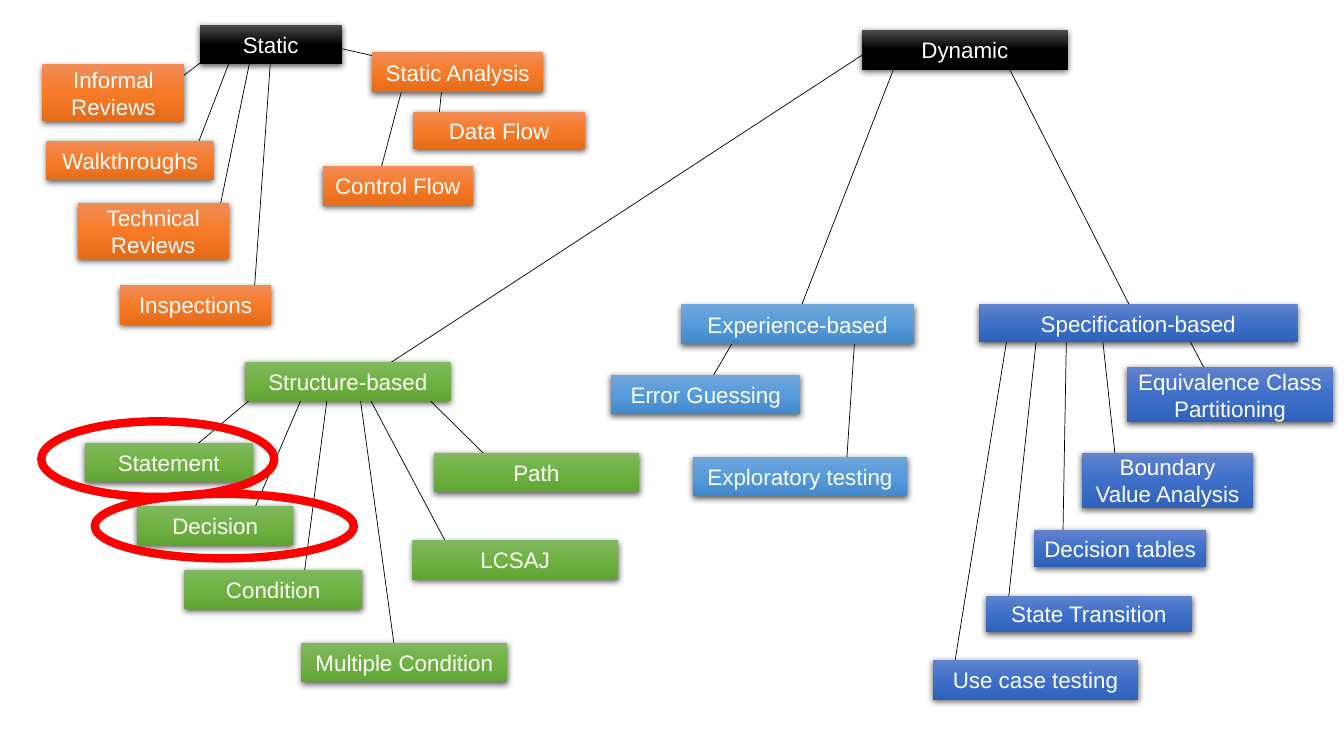
from copy import deepcopy

from lxml import etree
from pptx import Presentation
from pptx.dml.color import RGBColor
from pptx.enum import shapes, text
from pptx.oxml import ns
from pptx.util import Inches, Pt

BLACK = RGBColor(0x00, 0x00, 0x00)
WHITE = RGBColor(0xFF, 0xFF, 0xFF)
RED = RGBColor(0xFF, 0x00, 0x00)
# Top, middle and bottom colour of each gradient
ROOT = (RGBColor(0x4B, 0x4B, 0x4B), BLACK, BLACK)
ORANGE = (RGBColor(0xF1, 0x8C, 0x57), RGBColor(0xF6, 0x7B, 0x28), RGBColor(0xE5, 0x6C, 0x19))
GREEN = (RGBColor(0x81, 0xB8, 0x61), RGBColor(0x6F, 0xB2, 0x42), RGBColor(0x62, 0xA3, 0x36))
SKY = (RGBColor(0x71, 0xA6, 0xDB), RGBColor(0x55, 0x9B, 0xDB), RGBColor(0x44, 0x8A, 0xCA))
BLUE = (RGBColor(0x61, 0x83, 0xCB), RGBColor(0x3E, 0x70, 0xCA), RGBColor(0x30, 0x62, 0xBB))

presentation = Presentation()
presentation.slide_width = Inches(13.33)
presentation.slide_height = Inches(7.5)
slide = presentation.slides.add_slide(presentation.slide_layouts[6])


def paint_gradient(shape, colors):
    """Fill from top to bottom with three evenly spaced colours."""
    shape.fill.gradient()
    shape.fill.gradient_angle = 270
    stop_list = shape.element.spPr.find(".//" + ns.qn("a:gsLst"))
    stop_list.insert(1, deepcopy(stop_list[0]))
    for stop, position, color in zip(shape.fill.gradient_stops, (0, 0.5, 1), colors):
        stop.position = position
        stop.color.rgb = color


def add_soft_shadow(shape):
    """Cast a blurred black shadow straight down."""
    shape.shadow.inherit = False
    effects = shape.element.spPr.find(ns.qn("a:effectLst"))
    shadow = etree.SubElement(effects, ns.qn("a:outerShdw"), blurRad=str(Pt(4.5)),
                              dist=str(Pt(1.5)), dir="5400000", algn="ctr", rotWithShape="0")
    color = etree.SubElement(shadow, ns.qn("a:srgbClr"), val=str(BLACK))
    etree.SubElement(color, ns.qn("a:alpha"), val="63000")


# Branch lines, from parent to child
branches = [
    # Experience-based
    (7.3, 3.34, 6.88, 4.06), (8.49, 3.17, 8.39, 4.69),
    # Specification-based
    (10.01, 3.22, 9.47, 6.57), (10.3, 3.17, 9.98, 6.15), (10.58, 3.17, 10.54, 5.45),
    (10.93, 3.31, 11.08, 4.7), (11.7, 3.19, 12.11, 3.97),
    # Dynamic
    (8.73, 0.43, 3.81, 3.64), (8.9, 0.59, 7.84, 3.31), (9.99, 0.64, 11.29, 3.2),
    # Structure-based
    (2.63, 3.84, 1.81, 4.53), (3.04, 3.84, 2.48, 5.15), (3.26, 3.84, 3.02, 5.67),
    (3.56, 3.86, 3.93, 6.55), (3.59, 3.81, 4.46, 5.45), (4.03, 3.74, 4.99, 4.69),
    # Static and Static Analysis
    (3.2, 0.44, 4.3, 0.69), (4.39, 0.8, 4.34, 1.29), (4.01, 0.8, 3.75, 1.78),
    (2.23, 0.44, 1.57, 0.94), (2.3, 0.55, 1.9, 1.59), (2.49, 0.55, 2.17, 2.11),
    (2.68, 0.64, 2.52, 2.92),
]
for ends in branches:
    branch = slide.shapes.add_connector(shapes.MSO_CONNECTOR.STRAIGHT, *map(Inches, ends))
    branch.line.color.rgb = BLACK
    branch.line.width = Pt(0.5)
    etree.SubElement(branch.element.spPr, ns.qn("a:effectLst"))

# Technique boxes: left, top, width, height, paragraphs
boxes = [
    (ORANGE, [
        (0.42, 0.64, 1.41, 0.56, ["Informal", "Reviews"]),
        (0.46, 1.4, 1.66, 0.39, ["Walkthroughs"]),
        (0.77, 2.01, 1.5, 0.56, ["Technical Reviews"]),
        (1.19, 2.83, 1.5, 0.39, ["Inspections"]),
        (3.69, 0.52, 1.7, 0.39, ["Static Analysis"]),
        (4.1, 1.11, 1.7, 0.37, ["Data Flow"]),
        (3.2, 1.65, 1.49, 0.39, ["Control Flow"]),
    ]),
    (SKY, [
        (6.06, 3.72, 1.88, 0.39, ["Error Guessing"]),
        (6.75, 3.02, 2.32, 0.39, ["Experience-based"]),
        (6.87, 4.53, 2.13, 0.39, ["Exploratory testing"]),
    ]),
    (BLUE, [
        (9.71, 3.02, 3.16, 0.37, ["Specification-based"]),
        (11.18, 3.64, 2.04, 0.55, ["Equivalence Class Partitioning"]),
        (10.73, 4.49, 1.7, 0.55, ["Boundary Value Analysis"]),
        (10.26, 5.26, 1.7, 0.37, ["Decision tables"]),
        (9.78, 5.91, 2.04, 0.36, ["State Transition"]),
        (9.25, 6.55, 2.04, 0.39, ["Use case testing"]),
    ]),
    (GREEN, [
        (2.43, 3.59, 2.04, 0.39, ["Structure-based"]),
        (0.84, 4.39, 1.67, 0.39, ["Statement"]),
        (1.36, 5.02, 1.55, 0.39, ["Decision"]),
        (1.83, 5.65, 1.76, 0.39, ["Condition"]),
        (2.99, 6.38, 2.04, 0.39, ["Multiple Condition"]),
        (4.3, 4.49, 2.04, 0.39, ["Path"]),
        (4.09, 5.36, 2.04, 0.39, ["LCSAJ"]),
    ]),
    (ROOT, [
        (1.98, 0.25, 1.41, 0.39, ["Static"]),
        (8.55, 0.3, 2.04, 0.39, ["Dynamic"]),
    ]),
]
for colors, techniques in boxes:
    for *place, lines in techniques:
        box = slide.shapes.add_shape(shapes.MSO_SHAPE.RECTANGLE, *map(Inches, place))
        paint_gradient(box, colors)
        box.line.fill.background()
        add_soft_shadow(box)
        frame = box.text_frame
        frame.word_wrap = True
        frame.vertical_anchor = text.MSO_ANCHOR.MIDDLE
        for index, line in enumerate(lines):
            paragraph = frame.add_paragraph() if index else frame.paragraphs[0]
            paragraph.alignment = text.PP_ALIGN.CENTER
            run = paragraph.add_run()
            run.text = line
            run.font.name = "Arial"
            run.font.size = Pt(16)
            run.font.color.rgb = WHITE

# Red rings around Statement and Decision
for place in [(0.41, 4.18, 2.31, 0.75), (0.94, 4.9, 2.57, 0.64)]:
    ring = slide.shapes.add_shape(shapes.MSO_SHAPE.OVAL, *map(Inches, place))
    ring.shadow.inherit = False
    ring.fill.background()
    ring.line.color.rgb = RED
    ring.line.width = Pt(6)

presentation.save("out.pptx")
